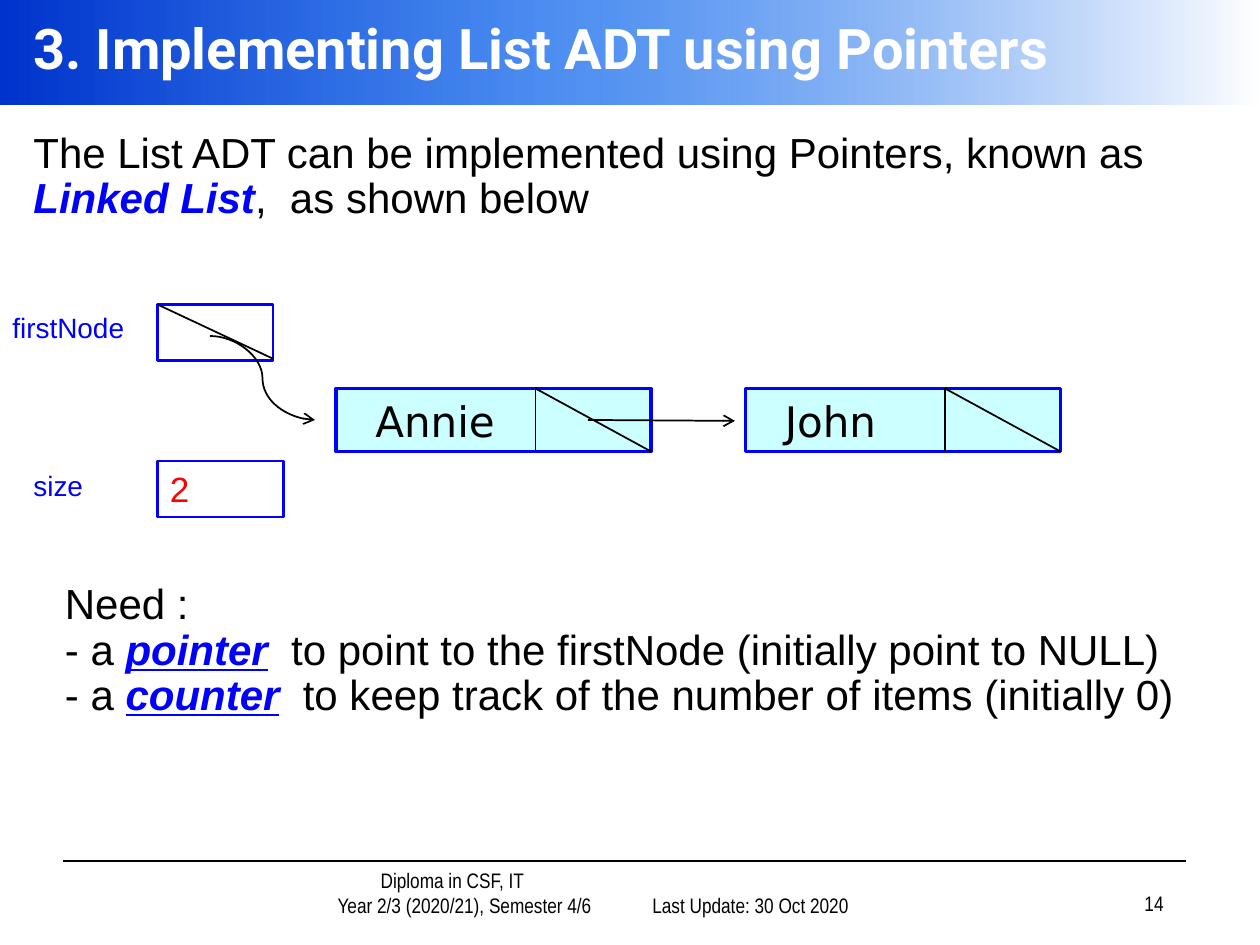
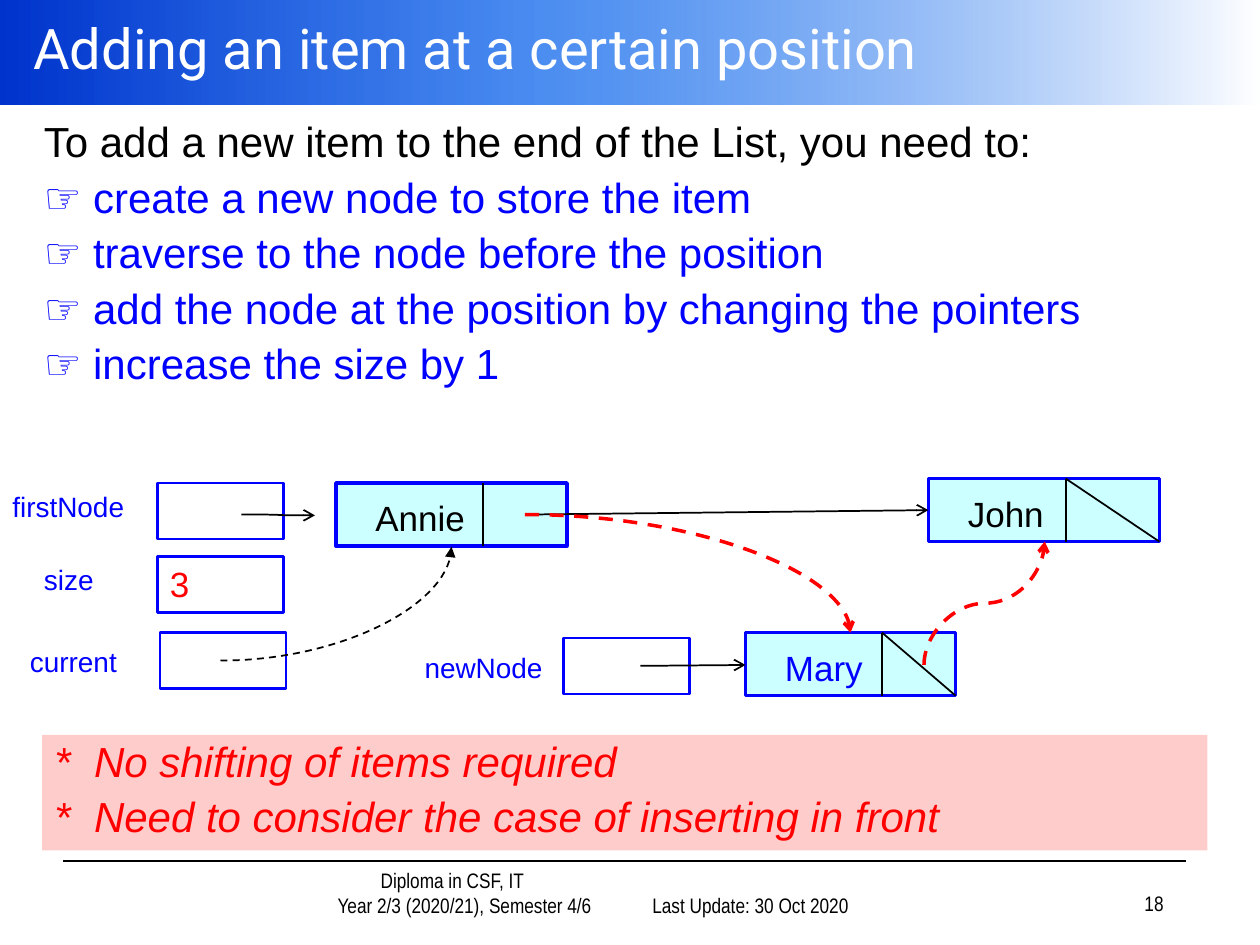
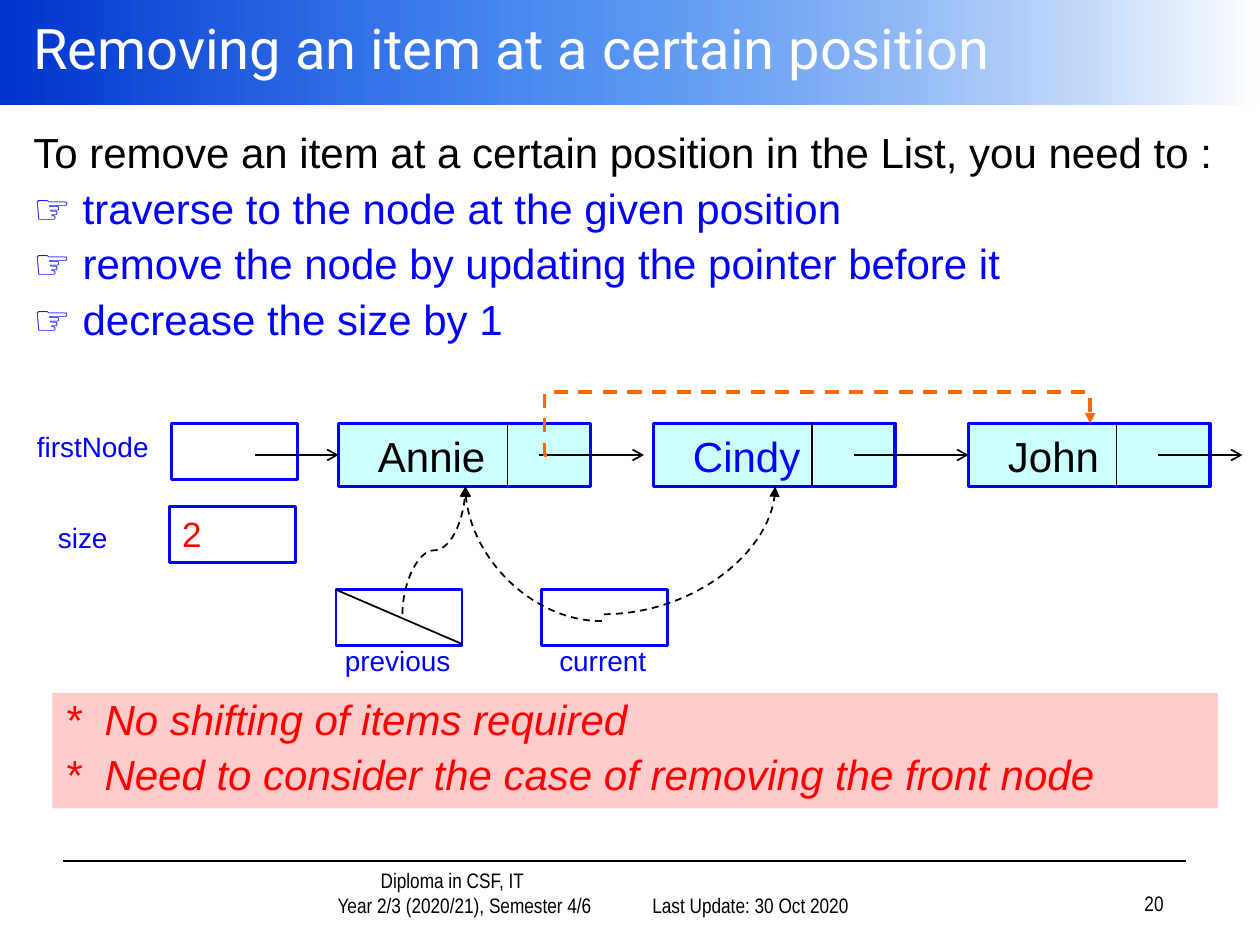
from dataclasses import dataclass, replace

from lxml.etree import SubElement
from pptx import Presentation
from pptx.dml.color import RGBColor
from pptx.enum.dml import MSO_LINE
from pptx.enum.shapes import MSO_CONNECTOR, MSO_SHAPE
from pptx.enum.text import MSO_ANCHOR, PP_ALIGN
from pptx.oxml.ns import qn
from pptx.util import Pt


@dataclass(frozen=True)
class Style:
    size: int
    color: str
    font: str = "Arial"
    bold: bool = False
    italic: bool = False
    underline: bool = False


@dataclass(frozen=True)
class Theme:
    black: str = "000000"
    white: str = "FFFFFF"
    blue: str = "0000FF"
    red: str = "FF0000"
    orange: str = "FF6600"
    node_fill: str = "CCFFFF"
    note_fill: str = "FFCCCC"
    band: tuple = ((0, "0033CC", 100), (43, "005EEB", 70), (100, "FFFFFF", 100))
    title: Style = Style(32, "FFFFFF", "Roboto")
    footer: Style = Style(12, "000000", "Arial Narrow")
    body: Style = Style(24, "000000")
    step: Style = Style(24, "0000FF")
    term: Style = Style(24, "0000FF", bold=True, italic=True)
    note: Style = Style(24, "FF0000", italic=True)
    label: Style = Style(16, "0000FF")
    count: Style = Style(20, "FF0000")
    item: Style = Style(20, "000000")


THEME = Theme()
BOX_WIDTH, BOX_HEIGHT, NODE_HEIGHT = 72, 32, 36


class Deck:
    def __init__(self, theme):
        self.theme = theme
        self.presentation = Presentation()
        self.presentation.slide_width = Pt(720)
        self.presentation.slide_height = Pt(540)
        self.slide = None

    def start_slide(self, title, number, bold=False):
        theme = self.theme
        self.slide = self.presentation.slides.add_slide(self.presentation.slide_layouts[6])
        self.band()
        self.text(12, 0, 708, 54, [[(title, replace(theme.title, bold=bold))]],
                  anchor=MSO_ANCHOR.MIDDLE)
        self.line((36, 492), (678, 492))
        footer = self.text(121, 498, 239, 30,
                           [[("Diploma in CSF, IT", theme.footer)],
                            [("Year 2/3 (2020/21), Semester 4/6", theme.footer)]],
                           anchor=MSO_ANCHOR.BOTTOM, align=PP_ALIGN.CENTER)
        for paragraph, indent in zip(footer.text_frame.paragraphs, (36, 50)):
            self.indent(paragraph, indent, 0)
        for left, top, words in ((342, 498, "Last Update: 30 Oct 2020"), (522, 497, number)):
            self.text(left, top, 150, 30, [[(words, theme.footer)]],
                      anchor=MSO_ANCHOR.BOTTOM, align=PP_ALIGN.RIGHT)

    def band(self):
        shape = self.rectangle(0, 0, 720, 60)
        shape.fill.gradient()
        shape.fill.gradient_angle = 0
        stops = shape._element.spPr.find(".//" + qn("a:gsLst"))
        stops.clear()
        for position, color, opacity in self.theme.band:
            stop = SubElement(stops, qn("a:gs"), pos=str(position * 1000))
            fill = SubElement(stop, qn("a:srgbClr"), val=color)
            if opacity < 100:
                SubElement(fill, qn("a:alpha"), val=str(opacity * 1000))

    def rectangle(self, left, top, width, height, fill=None, line_width=None):
        shape = self.slide.shapes.add_shape(
            MSO_SHAPE.RECTANGLE, Pt(left), Pt(top), Pt(width), Pt(height))
        shape.shadow.inherit = False
        if fill:
            shape.fill.solid()
            shape.fill.fore_color.rgb = RGBColor.from_string(fill)
        else:
            shape.fill.background()
        if line_width:
            shape.line.color.rgb = RGBColor.from_string(self.theme.blue)
            shape.line.width = Pt(line_width)
        else:
            shape.line.fill.background()
        return shape

    def fill_text(self, shape, paragraphs, anchor=MSO_ANCHOR.TOP, align=PP_ALIGN.LEFT,
                  line_spacing=None, space_before=0):
        frame = shape.text_frame
        frame.word_wrap = True
        frame.vertical_anchor = anchor
        for index, runs in enumerate(paragraphs):
            paragraph = frame.add_paragraph() if index else frame.paragraphs[0]
            paragraph.alignment = align
            if line_spacing:
                paragraph.line_spacing = line_spacing
            if index and space_before:
                paragraph.space_before = Pt(space_before)
            for words, style in runs:
                run = paragraph.add_run()
                run.text = words
                font = run.font
                font.size, font.name = Pt(style.size), style.font
                font.bold, font.italic = style.bold, style.italic
                font.underline = style.underline
                font.color.rgb = RGBColor.from_string(style.color)

    def text(self, left, top, width, height, paragraphs, **layout):
        shape = self.slide.shapes.add_textbox(Pt(left), Pt(top), Pt(width), Pt(height))
        self.fill_text(shape, paragraphs, **layout)
        return shape

    def indent(self, paragraph, left, first):
        properties = paragraph._p.get_or_add_pPr()
        properties.set("marL", str(Pt(left)))
        properties.set("indent", str(Pt(first)))

    def steps(self, left, top, width, height, opening, steps):
        theme = self.theme
        hand = replace(theme.step, bold=True)
        paragraphs = [[(opening, theme.body)]]
        paragraphs += [[("☞", hand), (" " + step, theme.step)] for step in steps]
        self.text(left, top, width, height, paragraphs, line_spacing=0.9, space_before=5.8)

    def note(self, left, top, remarks):
        shape = self.rectangle(left, top, 666, 66, self.theme.note_fill)
        self.fill_text(shape, [[("*  " + remark, self.theme.note)] for remark in remarks],
                       line_spacing=0.9, space_before=5.8)
        for paragraph in shape.text_frame.paragraphs:
            self.indent(paragraph, 27, -27)

    def label(self, left, top, words):
        self.text(left, top, 96, 27, [[(words, self.theme.label)]])

    def pointer(self, left, top, width=BOX_WIDTH, slash=False):
        self.rectangle(left, top, width, BOX_HEIGHT, line_width=1.5)
        if slash:
            self.line((left, top), (left + width, top + BOX_HEIGHT - 1))

    def counter(self, left, top, value):
        shape = self.rectangle(left, top, BOX_WIDTH, BOX_HEIGHT, self.theme.white, 1.5)
        self.fill_text(shape, [[(value, self.theme.count)]])

    def node(self, left, top, width, divider, name, style, slash=False):
        shape = self.rectangle(left, top, width, NODE_HEIGHT, self.theme.node_fill, 2)
        shape.text_frame.margin_left = Pt(22.5)
        shape.text_frame.margin_top = Pt(8 if style.size == 20 else 4)
        shape.text_frame.margin_right = 0
        self.fill_text(shape, [[(name, style)]])
        bottom = top + NODE_HEIGHT
        self.line((divider, top), (divider, bottom))
        if slash:
            self.line((divider, top), (left + width, bottom))

    def line(self, start, end, head=None, color=None, width=1, dashed=False,
             kind=MSO_CONNECTOR.STRAIGHT):
        connector = self.slide.shapes.add_connector(
            kind, *(Pt(value) for value in (*start, *end)))
        connector.line.color.rgb = RGBColor.from_string(color or self.theme.black)
        connector.line.width = Pt(width)
        if dashed:
            connector.line.dash_style = MSO_LINE.DASH
        properties = connector._element.spPr
        if head:
            SubElement(properties.find(qn("a:ln")), qn("a:tailEnd"), type=head)
        SubElement(properties, qn("a:effectLst"))
        return properties

    def s_curve(self, start, end, vertical=False, **look):
        if vertical:
            middle_x, middle_y = (start[0] + end[0]) / 2, (start[1] + end[1]) / 2
            start, end = ((middle_x + y - middle_y, middle_y - x + middle_x)
                          for x, y in (start, end))
        properties = self.line(start, end, kind=MSO_CONNECTOR.CURVE, **look)
        if vertical:
            properties.find(qn("a:xfrm")).set("rot", str(90 * 60000))

    def arc(self, start, end, **look):
        properties = self.line(start, end, kind=MSO_CONNECTOR.CURVE, dashed=True, **look)
        properties.find(qn("a:prstGeom")).set("prst", "curvedConnector2")

    def detour(self, start, end, adjustments, **look):
        properties = self.line(start, end, kind=MSO_CONNECTOR.ELBOW, dashed=True, **look)
        geometry = properties.find(qn("a:prstGeom"))
        geometry.set("prst", "bentConnector4")
        values = geometry.find(qn("a:avLst"))
        for index, value in enumerate(adjustments, 1):
            SubElement(values, qn("a:gd"), name=f"adj{index}", fmla=f"val {value}")


def linked_list_slide(deck):
    theme = deck.theme
    underlined = replace(theme.term, underline=True)
    item = replace(theme.item, size=24, font="DejaVu Sans")
    deck.start_slide("3. Implementing List ADT using Pointers", "14", bold=True)
    deck.text(12, 72, 696, 66,
              [[("The List ADT can be implemented using Pointers, known as ", theme.body),
                ("Linked List", theme.term), (",  as shown below", theme.body)]],
              line_spacing=0.9)
    deck.node(192, 222, 180, 306, "Annie", item, slash=True)
    deck.node(426, 222, 180, 540, "John", item, slash=True)
    deck.pointer(90, 174, width=66, slash=True)
    deck.counter(90, 263.5, "2")
    deck.label(0, 174, "firstNode")
    deck.label(12, 264, "size")
    deck.s_curve((120, 192), (180, 240), head="arrow")
    deck.line((336, 240), (420, 240.5), head="arrow")
    needs = (("pointer", "  to point to the firstNode (initially point to NULL)"),
             ("counter", "  to keep track of the number of items (initially 0)"))
    deck.text(30, 330, 666, 144,
              [[("Need :", theme.body)]]
              + [[("- a ", theme.body), (term, underlined), (purpose, theme.body)]
                 for term, purpose in needs],
              line_spacing=0.9)


def adding_slide(deck):
    theme = deck.theme
    deck.start_slide("Adding an item at a certain position", "18")
    deck.steps(18, 66, 684, 174, "To add a new item to the end of the List, you need to:",
               ("create a new node to store the item",
                "traverse to the node before the position",
                "add the node at the position by changing the pointers",
                "increase the size by 1"))
    deck.node(192, 276, 132, 276, "Annie", theme.item)
    deck.node(530.5, 273.5, 132, 609, "John", theme.item, slash=True)
    deck.node(426, 361.5, 120, 504, "Mary", replace(theme.item, color=theme.blue), slash=True)
    for left, top in ((90, 276), (322, 364.5), (91.5, 361.5)):
        deck.pointer(left, top)
    deck.counter(90, 318, "3")
    for left, top, words in ((0, 276, "firstNode"), (18, 318, "size"),
                             (235.5, 368, "newNode"), (10, 365, "current")):
        deck.label(left, top, words)
    deck.s_curve((138, 294), (180, 294.5), head="arrow")
    deck.line((306, 294), (530.5, 291.5), head="arrow")
    deck.line((366, 380.5), (426, 380), head="arrow")
    deck.arc((300, 294), (486, 361.5), head="arrow", color=theme.red, width=2)
    deck.arc((126, 377.5), (258, 312.5), head="triangle")
    deck.s_curve((528, 380), (597, 309.5), vertical=True, head="arrow",
                 color=theme.red, width=2, dashed=True)
    deck.note(24, 420, ("No shifting of items required",
                        "Need to consider the case of inserting in front"))


def removing_slide(deck):
    theme = deck.theme
    item = replace(theme.item, size=24)
    row = 242
    link = row + NODE_HEIGHT / 2
    bottom = row + NODE_HEIGHT
    deck.start_slide("Removing an item at a certain position", "20")
    deck.steps(12, 72, 696, 168,
               "To remove an item at a certain position in the List, you need to :",
               ("traverse to the node at the given position",
                "remove the node by updating the pointer before it",
                "decrease the size by 1"))
    deck.note(30, 396, ("No shifting of items required",
                        "Need to consider the case of removing the front node"))
    deck.node(193.5, row, 144, 290, "Annie", item)
    deck.node(373.5, row, 138, 464, "Cindy", replace(item, color=theme.blue))
    deck.node(553.5, row, 138, 638, "John", item)
    deck.pointer(98, row)
    deck.pointer(309.5, 337)
    deck.pointer(192, 337, slash=True)
    deck.counter(97, 289.5, "2")
    for left, top, words in ((14, row, "firstNode"), (26, 294, "size"),
                             (312.5, 364, "current"), (190, 364, "previous")):
        deck.label(left, top, words)
    deck.s_curve((146, link), (193.5, link), head="arrow")
    for start, end in ((308, 368), (488, 553.5), (662, 710)):
        deck.line((start, link), (end, link), head="arrow")
    deck.arc((344, 355), (266, bottom), head="triangle")
    deck.arc((345, 351), (443, bottom), head="triangle")
    deck.s_curve((230, 351), (266, bottom), vertical=True, head="triangle", dashed=True)
    deck.detour((312.5, link), (623, row), (-400, 200000), head="triangle",
                color=theme.orange, width=2)


def main():
    deck = Deck(THEME)
    linked_list_slide(deck)
    adding_slide(deck)
    removing_slide(deck)
    deck.presentation.save("out.pptx")


if __name__ == "__main__":
    main()
